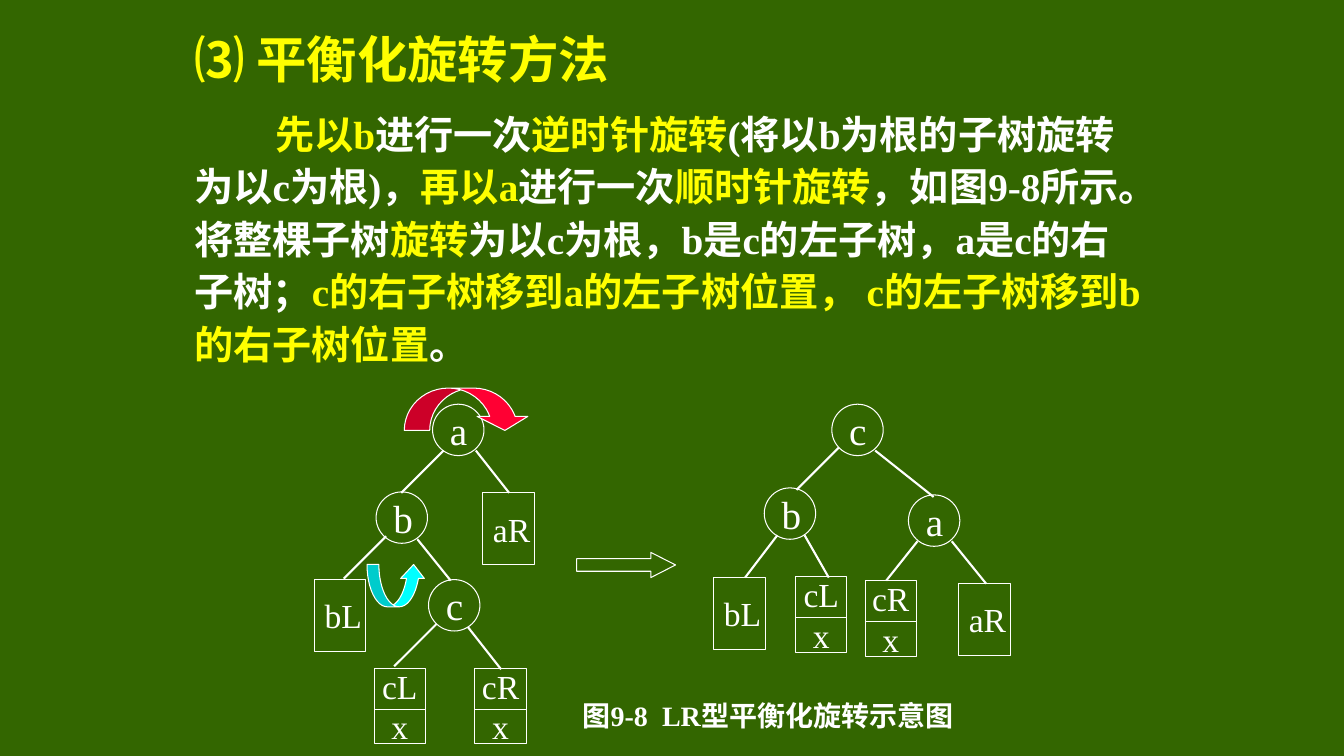
import pptx
import pptx.util
import pptx.dml.color
import pptx.enum.shapes
import pptx.enum.text
import pptx.oxml.ns
import lxml.etree

Inches, Pt = pptx.util.Inches, pptx.util.Pt
SHAPE = pptx.enum.shapes.MSO_SHAPE
ALIGN = pptx.enum.text.PP_ALIGN
qn = pptx.oxml.ns.qn
WHITE, YELLOW, CYAN, RED, GREEN = "FFFFFF", "FFFF00", "00FFFF", "FF0033", "336600"


def paint(target, color):
    """Give a fill, line or font colour from a hex string; None clears a fill."""
    if color is None:
        target.background()
        return
    if hasattr(target, "solid"):
        target.solid()
        target.fore_color.rgb = pptx.dml.color.RGBColor.from_string(color)
    else:
        target.color.rgb = pptx.dml.color.RGBColor.from_string(color)


def add_run(paragraph, text, size, color=WHITE, bold=False):
    run = paragraph.add_run()
    run.text = text
    font_format = {"size": Pt(size), "bold": bold, "name": "Times New Roman"}
    for name, value in font_format.items():
        setattr(run.font, name, value)
    paint(run.font, color)
    east_asian = lxml.etree.SubElement(run.font._element, qn("a:ea"))
    east_asian.set("typeface", "Noto Sans CJK SC")


presentation = pptx.Presentation()
presentation.slide_width = Inches(13.33)
presentation.slide_height = Inches(7.5)
slide = presentation.slides.add_slide(presentation.slide_layouts[6])
paint(slide.background.fill, GREEN)

# Heading and explanation
body = slide.shapes.add_textbox(Inches(1.83), Inches(0.17), Inches(9.64), Inches(3.58))
body.text_frame.word_wrap = True
heading = body.text_frame.paragraphs[0]
heading.line_spacing = Pt(47.5)
add_run(heading, "⑶ 平衡化旋转方法", 36, YELLOW, True)

explanation = body.text_frame.add_paragraph()
explanation.line_spacing = Pt(37.5)
explanation.space_before = Pt(11.5)
explanation._p.get_or_add_pPr().set("indent", str(Inches(0.8)))
explanation_parts = [
    ("先以b", YELLOW),
    ("进行一次", WHITE),
    ("逆时针旋转", YELLOW),
    ("(将以b为根的子树旋转为以c为根)，", WHITE),
    ("再以a", YELLOW),
    ("进行一次", WHITE),
    ("顺时针旋转", YELLOW),
    ("，如图9-8所示。将整棵子树", WHITE),
    ("旋转", YELLOW),
    ("为以c为根，b是c的左子树，a是c的右子树；", WHITE),
    ("c的右子树移到a的左子树位置， c的左子树移到b的右子树位置", YELLOW),
    ("。", WHITE),
]
for text, color in explanation_parts:
    add_run(explanation, text, 28, color, True)

# Figure caption, wide enough for one line
caption = slide.shapes.add_textbox(Inches(5.68), Inches(6.9), Inches(4.4), Inches(0.39))
caption.text_frame.word_wrap = True
caption.text_frame.vertical_anchor = pptx.enum.text.MSO_ANCHOR.MIDDLE
add_run(caption.text_frame.paragraphs[0], "图9-8  LR型平衡化旋转示意图", 20, WHITE, True)

# Tree nodes: kind -> preset shape, height, text size, alignment
node_kinds = {
    "circle": (SHAPE.OVAL, 0.51, 28, ALIGN.LEFT),
    "subtree": (SHAPE.RECTANGLE, 0.71, 24, ALIGN.LEFT),
    "marked": (SHAPE.RECTANGLE, 0.75, 24, ALIGN.CENTER),
}
node_width = 0.51
nodes = [
    # before the rotation
    ("circle", "a", 4.29, 4.01),
    ("circle", "b", 3.73, 4.88),
    ("circle", "c", 4.25, 5.75),
    ("subtree", "bL", 3.12, 5.75),
    ("subtree", "aR", 4.79, 4.89),
    ("marked", "cL", 3.71, 6.63),
    ("marked", "cR", 4.71, 6.63),
    # after the rotation
    ("circle", "c", 8.25, 4.01),
    ("circle", "b", 7.58, 4.84),
    ("circle", "a", 9.01, 4.91),
    ("subtree", "bL", 7.08, 5.73),
    ("subtree", "aR", 9.51, 5.79),
    ("marked", "cL", 7.89, 5.72),
    ("marked", "cR", 8.58, 5.76),
]
lines = []
for kind, label, left, top in nodes:
    preset, height, size, alignment = node_kinds[kind]
    shape = slide.shapes.add_shape(
        preset, Inches(left), Inches(top), Inches(node_width), Inches(height))
    shape.shadow.inherit = False
    paint(shape.fill, None)
    paint(shape.line, WHITE)
    shape.line.width = Pt(0.75)
    frame = shape.text_frame
    frame.word_wrap = False
    frame.vertical_anchor = pptx.enum.text.MSO_ANCHOR.MIDDLE
    rows = [label, "x"] if kind == "marked" else [label]
    for index, text in enumerate(rows):
        paragraph = frame.add_paragraph() if index else frame.paragraphs[0]
        paragraph.alignment = alignment
        add_run(paragraph, text, size)
    if kind == "marked":
        divider = top + 0.41
        lines.append((left, divider, left + node_width, divider, 0.75))

# Tree edges
edges = [
    (4.40, 4.47, 3.98, 4.89), (4.72, 4.47, 5.05, 4.89),
    (3.83, 5.32, 3.41, 5.74), (4.14, 5.35, 4.47, 5.76),
    (4.33, 6.19, 3.91, 6.61), (4.64, 6.22, 4.97, 6.64),
    (8.32, 4.44, 7.90, 4.86), (8.68, 4.47, 9.26, 4.93),
    (7.71, 5.31, 7.39, 5.73), (7.98, 5.31, 8.22, 5.73),
    (9.10, 5.37, 8.79, 5.76), (9.44, 5.37, 9.78, 5.79),
]
lines += [(*edge, 1.5) for edge in edges]
for *ends, width in lines:
    connector = slide.shapes.add_connector(
        pptx.enum.shapes.MSO_CONNECTOR.STRAIGHT, *map(Inches, ends))
    paint(connector.line, WHITE)
    connector.line.width = Pt(width)
    lxml.etree.SubElement(connector._element.spPr, qn("a:effectLst"))

# Rotation arrows and the arrow between the trees
arrows = [
    (SHAPE.RIGHT_ARROW, (5.72, 5.48, 0.98, 0.25), (0.5, 0.98), None),
    (SHAPE.CURVED_UP_ARROW, (3.64, 5.6, 0.58, 0.42), (0.28, 0.56, 0.33), CYAN),
    (SHAPE.CURVED_DOWN_ARROW, (4.01, 3.85, 1.25, 0.42), (0.6, 1.2, 0.33), RED),
]
for preset, box, adjustments, color in arrows:
    arrow = slide.shapes.add_shape(preset, *map(Inches, box))
    arrow.shadow.inherit = False
    paint(arrow.fill, color)
    paint(arrow.line, WHITE)
    arrow.line.width = Pt(0.75)
    for index, value in enumerate(adjustments):
        arrow.adjustments[index] = value

presentation.save("out.pptx")
